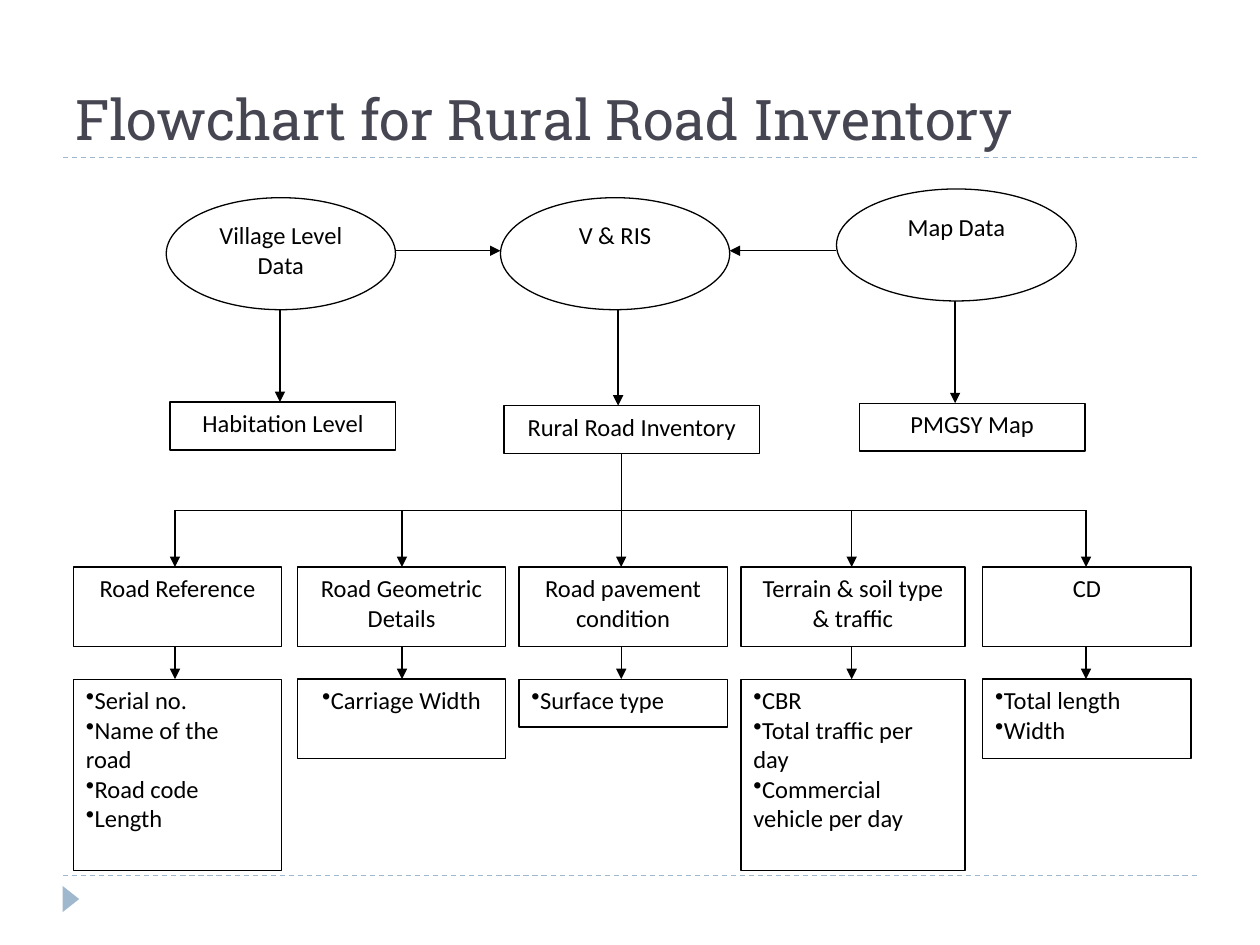
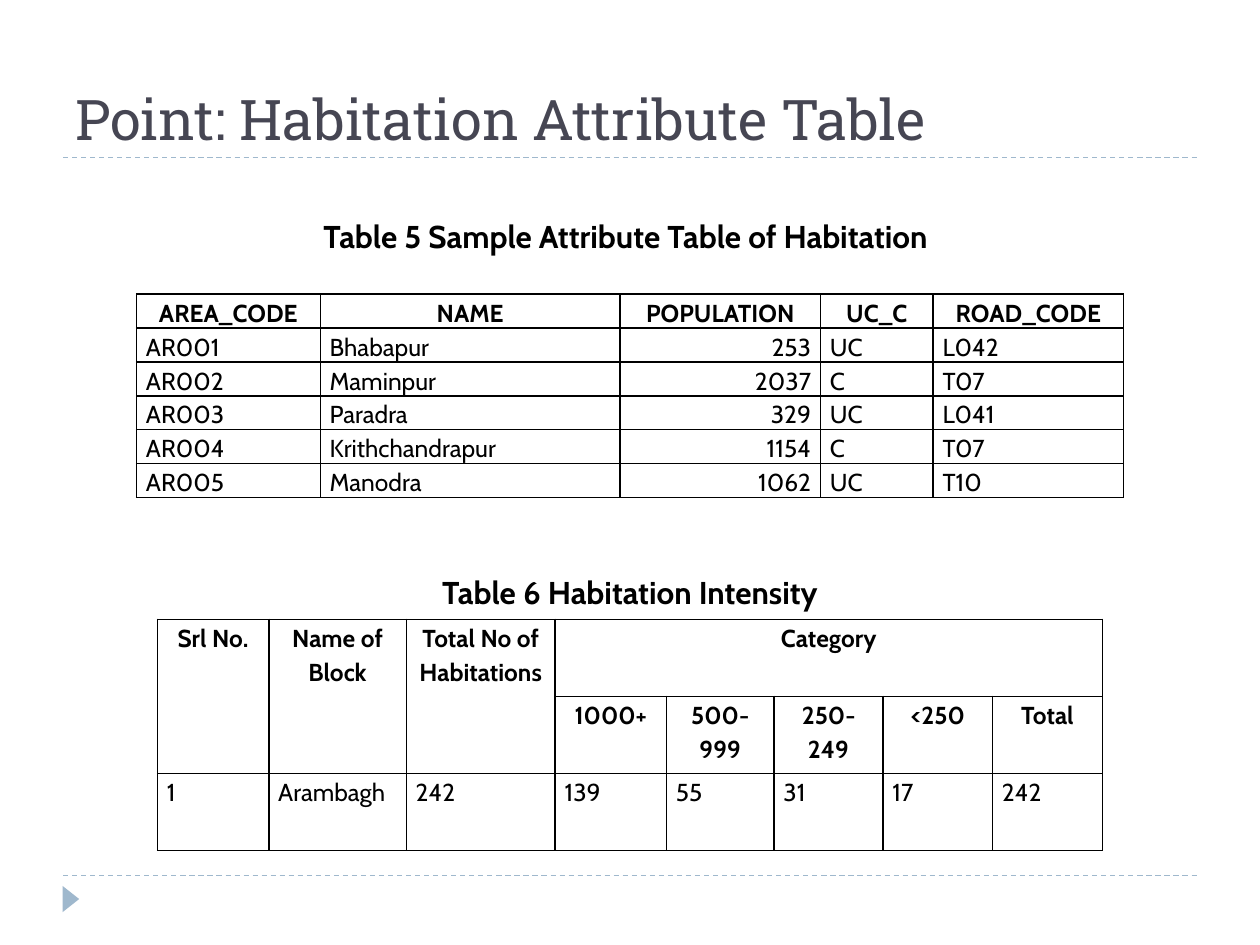
"""Builds two slides on rural road data: an inventory flowchart and habitation tables."""
from lxml import etree
from pptx import Presentation
from pptx.dml.color import RGBColor
from pptx.enum.dml import MSO_LINE
from pptx.enum.shapes import MSO_CONNECTOR, MSO_SHAPE
from pptx.enum.text import MSO_ANCHOR, PP_ALIGN
from pptx.oxml.ns import qn
from pptx.util import Pt

BLACK = RGBColor(0x00, 0x00, 0x00)
WHITE = RGBColor(0xFF, 0xFF, 0xFF)
SLATE = RGBColor(0x46, 0x46, 0x53)
MIST = RGBColor(0x9F, 0xB8, 0xCD)

LEFT, CENTER = PP_ALIGN.LEFT, PP_ALIGN.CENTER
RIGHT, JUSTIFY = PP_ALIGN.RIGHT, PP_ALIGN.JUSTIFY
TOP, BOTTOM = MSO_ANCHOR.TOP, MSO_ANCHOR.BOTTOM
OVAL, RECT = MSO_SHAPE.OVAL, MSO_SHAPE.RECTANGLE
TRIANGLE = MSO_SHAPE.ISOSCELES_TRIANGLE
STRAIGHT = MSO_CONNECTOR.STRAIGHT
DASH = MSO_LINE.DASH

TITLE_FONT, CHART_FONT, TABLE_FONT = "Roboto Slab", "Calibri", "Cabin"
BORDER_TAGS = ("a:lnL", "a:lnR", "a:lnT", "a:lnB")


class Deck:
    """Holds the shared style and the slide being drawn."""

    def __init__(self):
        self.presentation = Presentation()
        self.presentation.slide_width = Pt(720)
        self.presentation.slide_height = Pt(540)
        self.slide = None

    def start_slide(self, title):
        """Adds a slide with its title, rules and corner marker."""
        self.slide = self.presentation.slides.add_slide(self.presentation.slide_layouts[6])
        for rule_y in (500.4, 90):
            self.line(36, rule_y, 684, rule_y, MIST, dashed=True)
        marker = self.shape(TRIANGLE, 33, 509, 15, 9.5, MIST)
        marker.rotation = 90
        self.text(title, 36, 12, 648, 78, TITLE_FONT, 32, SLATE, LEFT, BOTTOM)

    def style(self, paragraph, font, size, color, align, bold=False):
        """Formats one paragraph and its runs."""
        paragraph.alignment = align
        for run in paragraph.runs:
            run.font.name = font
            run.font.size = Pt(size)
            run.font.bold = bold
            run.font.color.rgb = color

    def text(self, words, x, y, w, h, font, size, color, align, anchor, bold=False):
        """Adds a wrapped text box."""
        frame = self.slide.shapes.add_textbox(Pt(x), Pt(y), Pt(w), Pt(h)).text_frame
        frame.word_wrap = True
        frame.vertical_anchor = anchor
        frame.text = words
        self.style(frame.paragraphs[0], font, size, color, align, bold)

    def shape(self, preset, x, y, w, h, fill):
        """Adds a plain filled shape."""
        shape = self.slide.shapes.add_shape(preset, Pt(x), Pt(y), Pt(w), Pt(h))
        shape.shadow.inherit = False
        shape.fill.solid()
        shape.fill.fore_color.rgb = fill
        shape.line.fill.background()
        return shape

    def node(self, preset, words, x, y, w, h, align=CENTER, bulleted=False):
        """Adds an outlined flowchart node."""
        node = self.shape(preset, x, y, w, h, WHITE)
        node.line.color.rgb = BLACK
        node.line.width = Pt(0.75)
        frame = node.text_frame
        frame.word_wrap = True
        frame.vertical_anchor = TOP
        frame.text = words
        for paragraph in frame.paragraphs:
            self.style(paragraph, CHART_FONT, 14, BLACK, align)
            if bulleted:
                properties = paragraph._p.get_or_add_pPr()
                properties.set("marL", "0")
                properties.set("indent", "0")
                etree.SubElement(properties, qn("a:buChar"), char="•")

    def line(self, x1, y1, x2, y2, color=BLACK, dashed=False, arrow=False):
        """Adds a thin straight line, dashed or with an arrowhead on request."""
        line = self.slide.shapes.add_connector(STRAIGHT, Pt(x1), Pt(y1), Pt(x2), Pt(y2))
        line.line.color.rgb = color
        line.line.width = Pt(0.75)
        if dashed:
            line.line.dash_style = DASH
        if arrow:
            etree.SubElement(line.line._get_or_add_ln(), qn("a:tailEnd"), type="triangle")
        etree.SubElement(line._element.spPr, qn("a:effectLst"))

    def arrow(self, x1, y1, x2, y2):
        """Adds a line that ends in an arrowhead."""
        self.line(x1, y1, x2, y2, arrow=True)

    def caption(self, words, x, y, w):
        """Adds a bold centred table caption."""
        self.text(words, x, y, w, 29, TABLE_FONT, 18, BLACK, CENTER, TOP, bold=True)

    def table(self, rows, x, y, widths, row_height, header_rows, aligns, anchor, merges=()):
        """Adds a grid table with bold centred header rows."""
        table = self.slide.shapes.add_table(
            len(rows), len(widths), Pt(x), Pt(y), Pt(sum(widths)), Pt(row_height * len(rows))
        ).table
        table.first_row = table.horz_banding = False
        for column, width in zip(table.columns, widths):
            column.width = Pt(width)
        for r, row in enumerate(rows):
            table.rows[r].height = Pt(row_height)
            for c, words in enumerate(row):
                header = r < header_rows
                self.cell(table.cell(r, c), words, CENTER if header else aligns[c], anchor, header)
        for top, left, bottom, right in merges:
            table.cell(top, left).merge(table.cell(bottom, right))

    def cell(self, cell, words, align, anchor, bold):
        """Fills and borders one table cell."""
        cell.margin_left = cell.margin_right = Pt(5.4)
        cell.margin_top = cell.margin_bottom = 0
        cell.vertical_anchor = anchor
        cell.text_frame.text = words
        paragraph = cell.text_frame.paragraphs[0]
        paragraph.line_spacing = 1.15
        self.style(paragraph, TABLE_FONT, 14, BLACK, align, bold)
        properties = cell._tc.get_or_add_tcPr()
        for tag in BORDER_TAGS:
            border = etree.SubElement(properties, qn(tag), w=str(Pt(1)))
            fill = etree.SubElement(border, qn("a:solidFill"))
            etree.SubElement(fill, qn("a:srgbClr"), val=str(BLACK))
        cell.fill.background()


def draw_flowchart(deck):
    """Draws the road inventory flowchart."""
    deck.start_slide("Flowchart for Rural Road Inventory")

    sources = (
        ("Village Level Data", 95, 113, 131, 160, "Habitation Level", 97.2, 229.7, 129),
        ("V & RIS", 286, 113, 131, 353.2, "Rural Road Inventory", 288, 231.8, 146),
        ("Map Data", 478, 108, 137, 545.8, "PMGSY Map", 491, 230.4, 129),
    )
    for source, x, y, w, arrow_x, product, product_x, product_y, product_w in sources:
        deck.node(OVAL, source, x, y, w, 64)
        deck.node(RECT, product, product_x, product_y, product_w, 27.4)
        deck.arrow(arrow_x, y + 64, arrow_x, product_y)
    deck.arrow(226, 143.3, 286, 143.3)
    deck.arrow(478, 143.3, 417, 143.3)

    bus_y, group_y, group_h, detail_y = 291.6, 324, 45.4, 388.1
    groups = (
        (42, 119, 100, "Road Reference",
         "Serial no.\nName of the road\nRoad code\nLength", 109.5, LEFT),
        (170, 119, 229.7, "Road Geometric Details", "Carriage Width", 45.4, CENTER),
        (296.6, 119, 355, "Road pavement condition", "Surface type", 27.4, LEFT),
        (423.4, 128, 486.7, "Terrain & soil type & traffic",
         "CBR\nTotal traffic per day\nCommercial vehicle per day", 109.5, LEFT),
        (561.6, 119, 620.6, "CD", "Total length\nWidth", 45.4, LEFT),
    )
    deck.line(groups[-1][2], bus_y, groups[0][2], bus_y)
    deck.line(355, 259.2, 355, bus_y)
    for x, w, arrow_x, group, details, detail_h, align in groups:
        deck.node(RECT, group, x, group_y, w, group_h)
        deck.node(RECT, details, x, detail_y, w, detail_h, align, bulleted=True)
        deck.arrow(arrow_x, bus_y, arrow_x, group_y)
        deck.arrow(arrow_x, group_y + group_h, arrow_x, detail_y)


def draw_tables(deck):
    """Draws the habitation attribute and intensity tables."""
    deck.start_slide("Point: Habitation Attribute Table")

    habitations = (
        ("AREA_CODE", "NAME", "POPULATION", "UC_C", "ROAD_CODE"),
        ("AR001", "Bhabapur", "253", "UC", "L042"),
        ("AR002", "Maminpur", "2037", "C", "T07"),
        ("AR003", "Paradra", "329", "UC", "L041"),
        ("AR004", "Krithchandrapur", "1154", "C", "T07"),
        ("AR005", "Manodra", "1062", "UC", "T10"),
    )
    deck.caption("Table 5 Sample Attribute Table of Habitation", 159, 120.2, 397)
    deck.table(habitations, 78, 168, (105, 171.4, 114.5, 64.4, 108.7), 19.4, 1,
               (LEFT, LEFT, RIGHT, LEFT, LEFT), BOTTOM)

    intensity = (
        ("Srl No.", "Name of Block", "Total No of Habitations", "Category", "", "", "", ""),
        ("", "", "", "1000+", "500-999", "250-249", "<250", "Total"),
        ("1", "Arambagh", "242", "139", "55", "31", "17", "242"),
    )
    merges = [(0, column, 1, column) for column in range(3)] + [(0, 3, 0, 7)]
    deck.caption("Table 6 Habitation Intensity", 235, 324, 250)
    deck.table(intensity, 90, 354, (63.6, 78.6, 85.1, 63.6, 61.5, 62.3, 62.6, 62.7), 44, 2,
               (JUSTIFY,) * 8, TOP, merges)


deck = Deck()
draw_flowchart(deck)
draw_tables(deck)
deck.presentation.save("out.pptx")
